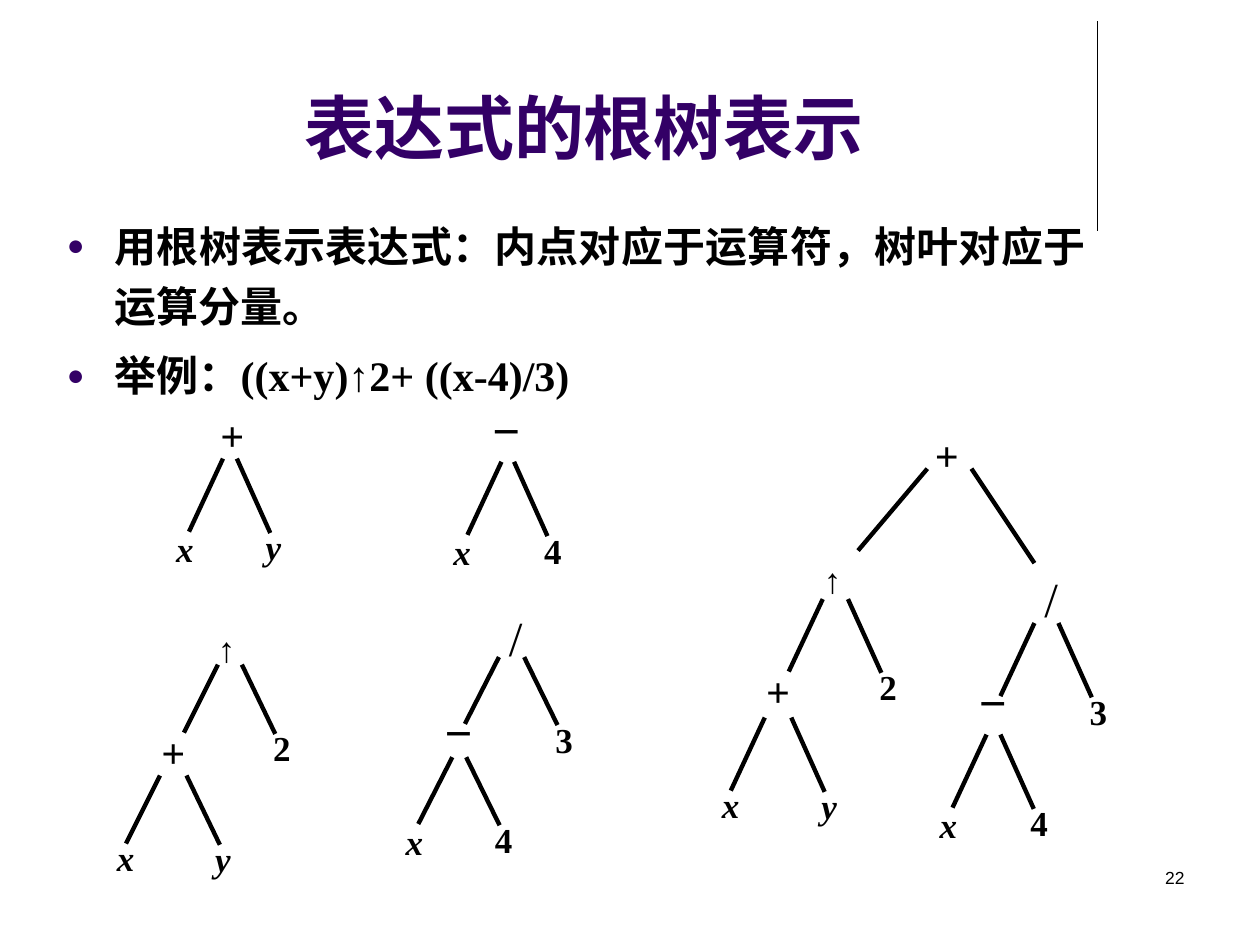
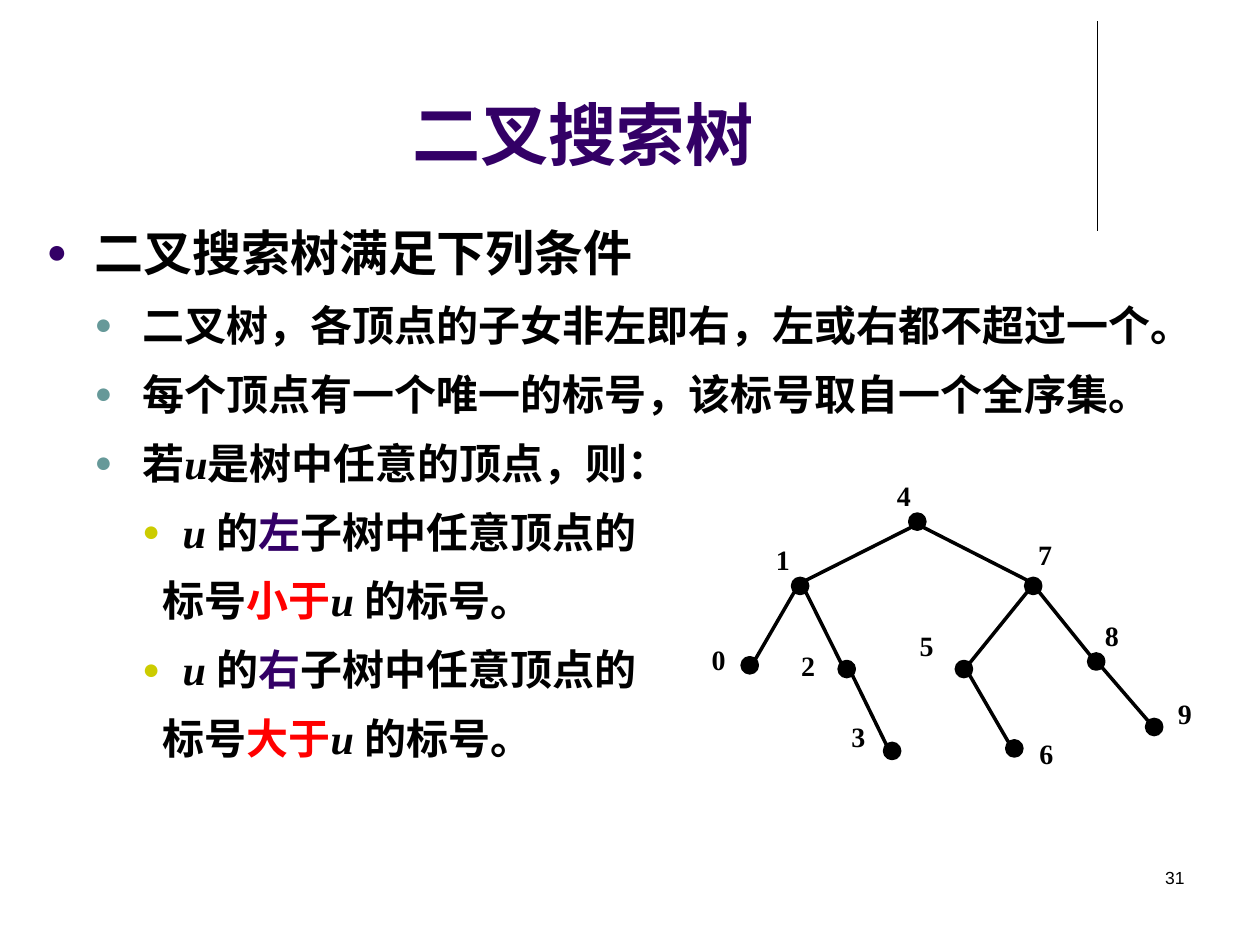
from dataclasses import dataclass

from lxml import etree
from pptx import Presentation
from pptx import util as u
from pptx.dml.color import RGBColor
from pptx.enum import shapes, text
from pptx.oxml.ns import qn

COLUMNS, ROWS = 100, 75


@dataclass(frozen=True)
class Theme:
    ink: str = "000000"
    accent: str = "330066"
    alert: str = "FF0000"
    bullets: tuple = ("330066", "669999", "CCCC00")
    indents: tuple = ((0.38, 0.38), (0.76, 0.38), (1.08, 0.32))
    serif: str = "Times New Roman"
    sans: str = "Arial"
    title: int = 40
    lead: int = 28
    body: int = 24
    node: int = 20
    key: int = 16
    footer: int = 10
    rule: float = 0.75
    branch: float = 2.5
    edge: float = 2


class Board:
    """Draws on the current slide; lengths are grid columns and rows."""

    def __init__(self, deck, theme):
        self.deck, self.theme = deck, theme
        self.column = deck.slide_width / COLUMNS
        self.row = deck.slide_height / ROWS
        self.page = None

    def area(self, left, top, width, height):
        return [round(length * unit) for length, unit in zip(
            (left, top, width, height), (self.column, self.row) * 2)]

    def new_page(self, number):
        self.page = self.deck.slides.add_slide(self.deck.slide_layouts[1])
        self.line((87.1, 1.7), (87.1, 18.3), self.theme.rule)
        self.label(number, (71.7, 68.3, 23.3, 5), self.theme.footer, font=self.theme.sans,
                   bold=False, align=text.PP_ALIGN.RIGHT)

    def span(self, para, words, size, font=None, color=None, bold=True, italic=False):
        span = para.add_run()
        span.text = words
        span.font.name = font or self.theme.serif
        span.font.size = u.Pt(size)
        span.font.bold, span.font.italic = bold, italic
        span.font.color.rgb = RGBColor.from_string(color or self.theme.ink)

    def place(self, box, area):
        box.left, box.top, box.width, box.height = self.area(*area)
        box.text_frame.word_wrap = True
        box.text_frame.auto_size = text.MSO_AUTO_SIZE.NONE
        return box.text_frame

    def title(self, words, area, size, font):
        frame = self.place(self.page.shapes.title, area)
        frame.vertical_anchor = text.MSO_ANCHOR.BOTTOM
        para = frame.paragraphs[0]
        para.alignment = text.PP_ALIGN.CENTER
        self.span(para, words, size, font, self.theme.accent)

    def bullet(self, para, level, shown):
        """Sets the hanging indent and the dot; without a dot the line starts a little further in."""
        hang, first = self.theme.indents[level]
        props = para._p.get_or_add_pPr()
        if not shown:
            props.set("marL", str(u.Inches(hang - first + 0.16)))
            props.set("indent", "0")
            etree.SubElement(props, qn("a:buNone"))
            return
        props.set("marL", str(u.Inches(hang)))
        props.set("indent", str(-u.Inches(first)))
        color = etree.SubElement(props, qn("a:buClr"))
        etree.SubElement(color, qn("a:srgbClr"), val=self.theme.bullets[level])
        etree.SubElement(props, qn("a:buSzPct"), val="70000")
        etree.SubElement(props, qn("a:buFont"), typeface=self.theme.sans)
        etree.SubElement(props, qn("a:buChar"), char="●")

    def body(self, items, area, align):
        """Each item is (level, has a bullet, size, spans)."""
        frame = self.place(self.page.placeholders[1], area)
        for index, (level, shown, size, spans) in enumerate(items):
            para = frame.add_paragraph() if index else frame.paragraphs[0]
            self.bullet(para, level, shown)
            para.level = level
            para.alignment = align
            para.line_spacing = 1.2
            para.space_before = u.Pt(0.2 * size if index else 0)
            for words, style in spans:
                self.span(para, words, size, **style)

    def label(self, words, area, size, align=text.PP_ALIGN.LEFT, **style):
        box = self.page.shapes.add_textbox(*self.area(*area))
        para = self.place(box, area).paragraphs[0]
        para.alignment = align
        self.span(para, words, size, **style)

    def line(self, start, end, weight):
        line = self.page.shapes.add_connector(
            shapes.MSO_CONNECTOR.STRAIGHT, *self.area(*start, *end))
        line.line.color.rgb = RGBColor.from_string(self.theme.ink)
        line.line.width = u.Pt(weight)
        etree.SubElement(line._element.spPr, qn("a:effectLst"))

    def dot(self, left, top, side):
        dot = self.page.shapes.add_shape(
            shapes.MSO_SHAPE.OVAL, *self.area(left, top, side, side))
        dot.shadow.inherit = False
        dot.fill.solid()
        dot.fill.fore_color.rgb = dot.line.color.rgb = RGBColor.from_string(self.theme.ink)
        dot.line.width = u.Pt(self.theme.edge)

    def node(self, symbol, left, top):
        """Writes one operator or operand of an expression tree."""
        if symbol in "+−":
            size, width = (24, 4.7) if symbol == "+" else (28, 4)
            self.label(symbol, (left, top, width, 3.6), size, text.PP_ALIGN.CENTER)
        else:
            slash = symbol == "/"
            self.label(symbol, (left, top, 3.1 if symbol == "x" else 5.5, 4),
                       28 if slash else self.theme.node,
                       bold=not slash, italic=symbol in "xy")

    def fork(self, left, right, top, drop):
        """Draws the two branches that open below an operator."""
        for x, step, extra in ((left, -2.7, 0), (right, 2.65, 0.1)):
            self.line((x, top), (x + step, top + drop + extra), self.theme.branch)


# Forks are left, right, top, drop; nodes are symbol, left, top.
SUM_TREE = (
    [(17.7, 18.8, 36.4, 5.8)],
    [("+", 16.1, 32), ("x", 13, 41.4), ("y", 20.1, 41.2)])
DIFFERENCE_TREE = (
    [(39.8, 40.8, 36.65, 5.8)],
    [("−", 38.1, 31.2), ("x", 35, 41.6), ("4", 42.2, 41.5)])
POWER_TREE = (
    [(17.3, 19.2, 52.75, 5.4), (12.7, 14.8, 61.55, 5.4)],
    [("↑", 16.3, 49.3), ("+", 11.4, 57.2), ("2", 20.7, 57.2), ("x", 8.3, 65.9),
     ("y", 16.1, 66)])
QUOTIENT_TREE = (
    [(39.6, 41.6, 52.15, 5.3), (35.9, 37, 60.1, 5.3)],
    [("/", 39.4, 47.7), ("−", 34.3, 55.2), ("3", 43.1, 56.5), ("x", 31.2, 64.6),
     ("4", 38.3, 64.5)])
WHOLE_TREE = (
    [(65.3, 67.3, 47.55, 5.75), (60.7, 62.8, 56.95, 5.8),
     (82.1, 84, 49.45, 5.8), (78.3, 79.4, 58.3, 5.8)],
    [("+", 72.8, 33.6), ("↑", 64.4, 43.8), ("/", 81.9, 44.6), ("+", 59.4, 52.3),
     ("2", 68.8, 52.3), ("x", 56.3, 61.7), ("y", 64.2, 61.8), ("−", 76.7, 52.8),
     ("3", 85.5, 54.3), ("x", 73.6, 63.3), ("4", 80.8, 63.1)])

# Vertex number: left and top of its dot, then of its number.
VERTICES = {
    4: (72.2, 40.8, 70.2, 37.5), 1: (62.9, 45.9, 60.6, 42.6),
    7: (81.4, 45.9, 81.4, 42.2), 0: (58.9, 52.2, 55.5, 50.5),
    2: (66.6, 52.5, 62.6, 51), 5: (75.9, 52.5, 72, 49.4),
    8: (86.4, 51.9, 86.7, 48.6), 3: (70.2, 59, 66.6, 56.6),
    6: (79.9, 58.8, 81.5, 58), 9: (91, 57.1, 92.5, 54.8)}
EDGES = [(4, 1), (4, 7), (1, 0), (1, 2), (7, 5), (7, 8), (2, 3), (5, 6), (8, 9)]
DOT = 1.2


def expression_page(board):
    theme = board.theme
    board.new_page("22")
    board.title("表达式的根树表示", (5.1, 4.4, 82.5, 9.5), theme.title, theme.serif)
    lines = ("用根树表示表达式：内点对应于运算符，树叶对应于运算分量。",
             "举例：((x+y)↑2+ ((x-4)/3)")
    board.body([(0, True, theme.body, [(line, {})]) for line in lines],
               (4.3, 16.2, 82.9, 16.5), text.PP_ALIGN.JUSTIFY)
    for forks, nodes in (SUM_TREE, POWER_TREE, DIFFERENCE_TREE, QUOTIENT_TREE, WHOLE_TREE):
        for fork in forks:
            board.fork(*fork)
        for node in nodes:
            board.node(*node)
    for start, end in (((73.6, 37.2), (68.1, 43.7)), ((77.1, 37.2), (82.1, 44.7))):
        board.line(start, end, theme.branch)


def search_tree(board):
    for number, (left, top, label_left, label_top) in VERTICES.items():
        board.dot(left, top, DOT)
        board.label(str(number), (label_left, label_top, 4.7, 5.1), board.theme.key)
    reach = DOT / 2 * 0.7
    for parent, child in EDGES:
        (x1, y1), (x2, y2) = [[edge + DOT / 2 for edge in VERTICES[vertex][:2]]
                              for vertex in (parent, child)]
        shift = reach if x2 > x1 else -reach
        board.line((x1 + shift, y1 + reach), (x2 - shift, y2 - reach), board.theme.edge)


def search_page(board):
    theme = board.theme
    plain, variable = {}, {"italic": True}
    board.new_page("31")
    board.title("二叉搜索树", (5, 1.3, 82.5, 13), theme.title - 1, theme.sans)
    items = [
        (0, True, theme.lead, [("二叉搜索树满足下列条件", plain)]),
        (1, True, theme.body, [("二叉树，各顶点的子女非左即右，左或右都不超过一个。", plain)]),
        (1, True, theme.body, [("每个顶点有一个唯一的标号，该标号取自一个全序集。", plain)]),
        (1, True, theme.body, [("若", plain), ("u", variable),
                               ("是树中任意的顶点，则：", plain)])]
    for side, relation in (("左", "小于"), ("右", "大于")):
        items += [
            (2, True, theme.body, [("u ", variable), ("的", plain),
                                   (side, {"color": theme.accent}),
                                   ("子树中任意顶点的", plain)]),
            (2, False, theme.body, [("标号", plain), (relation, {"color": theme.alert}),
                                    ("u ", variable), ("的标号。", plain)])]
    board.body(items, (2.7, 16.2, 92.1, 47.3), text.PP_ALIGN.LEFT)
    search_tree(board)


def main():
    deck = Presentation()
    deck.slide_width, deck.slide_height = u.Inches(10), u.Inches(7.5)
    board = Board(deck, Theme())
    expression_page(board)
    search_page(board)
    deck.save("out.pptx")


if __name__ == "__main__":
    main()
